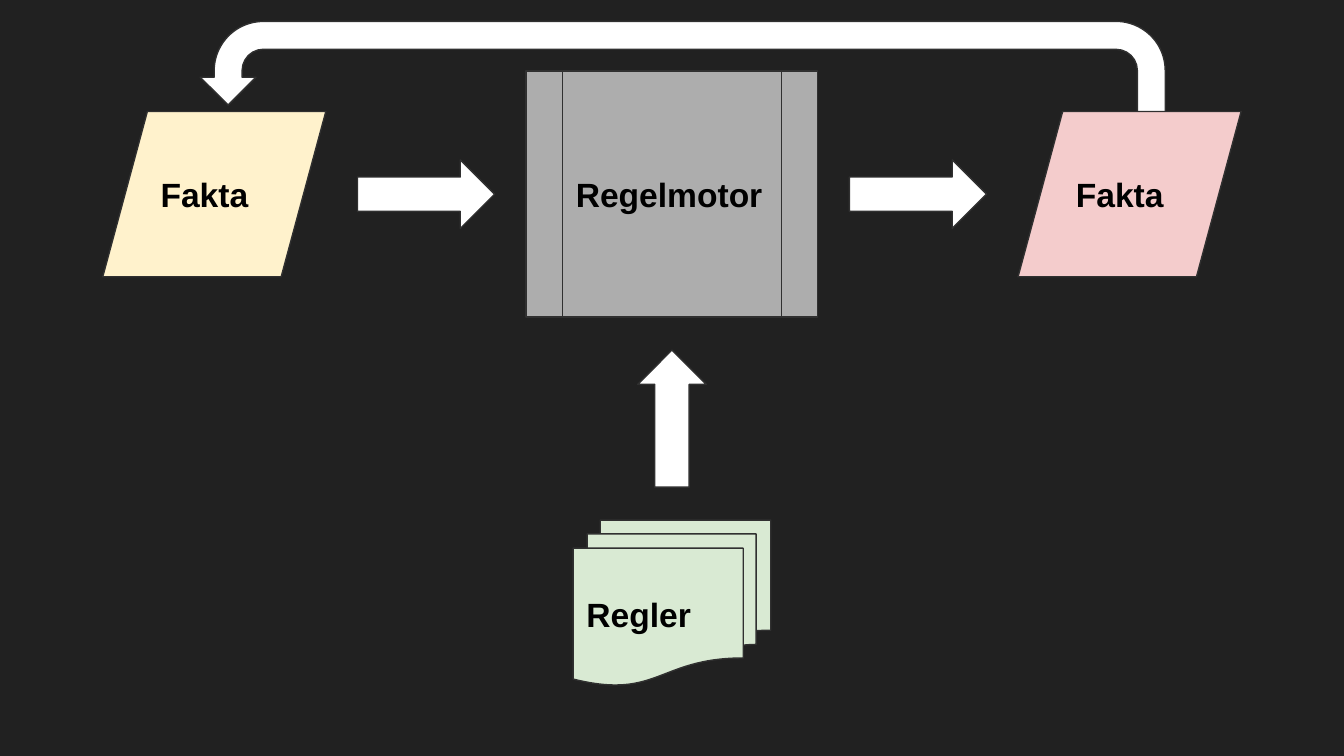
from pptx import Presentation
from pptx.dml.color import RGBColor
from pptx.enum.shapes import MSO_SHAPE
from pptx.enum.text import MSO_ANCHOR, PP_ALIGN
from pptx.util import Inches, Pt

COLUMNS = 100
SLIDE_WIDTH = Inches(10)
SLIDE_HEIGHT = int(SLIDE_WIDTH * 9 / 16)


def color(value):
    """Turn a hex string into a colour."""
    return RGBColor.from_string(value)


def grid(count):
    """Turn a number of square grid cells into a length."""
    return int(count * SLIDE_WIDTH / COLUMNS)


def set_values(target, values):
    """Set each attribute named in a dict."""
    for name, value in values.items():
        setattr(target, name, value)


class Diagram:
    """Holds the style and the slide, and draws elements by their centre."""

    background = "212121"
    outline = "303030"
    arrow_fill = "FFFFFF"
    font = {"name": "Arial", "size": Pt(18), "bold": True}
    text_color = "000000"
    frame = {"word_wrap": True, "vertical_anchor": MSO_ANCHOR.MIDDLE}
    frame |= {f"margin_{side}": Inches(0.1)
              for side in ("left", "top", "right", "bottom")}

    def __init__(self, slide):
        """Take a blank slide and paint its background."""
        self.slide = slide
        slide.background.fill.solid()
        slide.background.fill.fore_color.rgb = color(self.background)

    def shape(self, kind, center, size, fill):
        """Draw a filled, outlined shape around a centre."""
        (x, y), (width, height) = center, size
        shape = self.slide.shapes.add_shape(
            kind, grid(x - width / 2), grid(y - height / 2),
            grid(width), grid(height))
        shape.shadow.inherit = False
        shape.fill.solid()
        shape.fill.fore_color.rgb = color(fill)
        shape.line.color.rgb = color(self.outline)
        shape.line.width = Pt(0.75)
        return shape

    def node(self, kind, center, size, fill, text):
        """Draw a flowchart node with a bold label."""
        text_frame = self.shape(kind, center, size, fill).text_frame
        set_values(text_frame, self.frame)
        paragraph = text_frame.paragraphs[0]
        paragraph.alignment = PP_ALIGN.LEFT
        run = paragraph.add_run()
        run.text = text
        set_values(run.font, self.font)
        run.font.color.rgb = color(self.text_color)

    def arrow(self, center, size, rotation=0):
        """Draw a block arrow, pointing right unless rotated."""
        shape = self.shape(MSO_SHAPE.RIGHT_ARROW, center, size, self.arrow_fill)
        shape.rotation = rotation

    def return_arrow(self, center, size, adjustments):
        """Draw a U-turn arrow that leads back to the left."""
        shape = self.shape(MSO_SHAPE.U_TURN_ARROW, center, size, self.arrow_fill)
        for index, value in enumerate(adjustments):
            shape.adjustments[index] = value
        shape.element.spPr.xfrm.set("flipH", "1")


presentation = Presentation()
set_values(presentation, {"slide_width": SLIDE_WIDTH, "slide_height": SLIDE_HEIGHT})
diagram = Diagram(presentation.slides.add_slide(presentation.slide_layouts[6]))

engine_size, facts_size, rules_size = (21.7, 18.3), (16.6, 12.3), (14.7, 12.3)
arrow_size = arrow_length, _ = (10.2, 5.1)
side_gap, lower_gap = 2.35, 2.45
middle, flow_row = COLUMNS / 2, 14.45

# Distances from the engine's centre, with equal gaps between neighbours
arrow_offset = engine_size[0] / 2 + side_gap + arrow_length / 2
facts_offset = arrow_offset + arrow_length / 2 + side_gap + facts_size[0] / 2
rules_arrow_row = flow_row + engine_size[1] / 2 + lower_gap + arrow_length / 2
rules_row = rules_arrow_row + arrow_length / 2 + lower_gap + rules_size[1] / 2

diagram.return_arrow((50.8, 5.75), (71.8, 8.3), (0.25, 0.25, 0.25, 0.44, 0.75))
diagram.node(MSO_SHAPE.FLOWCHART_PREDEFINED_PROCESS, (middle, flow_row),
             engine_size, "ADADAD", "Regelmotor")
diagram.node(MSO_SHAPE.FLOWCHART_MULTIDOCUMENT, (middle, rules_row),
             rules_size, "D9EAD3", "Regler")
for side, facts_fill in ((-1, "FFF2CC"), (1, "F4CCCC")):
    diagram.node(MSO_SHAPE.FLOWCHART_DATA, (middle + side * facts_offset, flow_row),
                 facts_size, facts_fill, "Fakta")
    diagram.arrow((middle + side * arrow_offset, flow_row), arrow_size)
diagram.arrow((middle, rules_arrow_row), arrow_size, rotation=270)

presentation.save("out.pptx")
